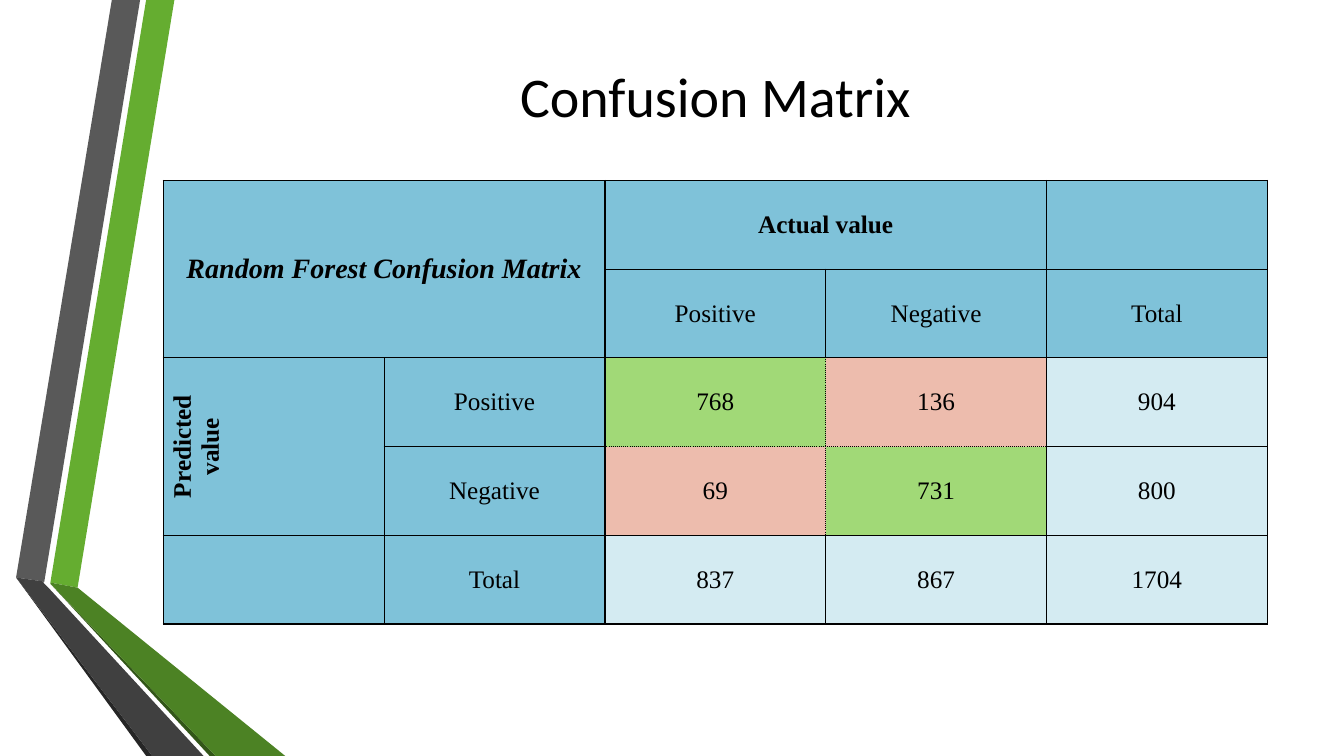
from dataclasses import dataclass

from lxml import etree
from pptx import Presentation
from pptx import util as u
from pptx.dml.color import RGBColor
from pptx.enum import text
from pptx.oxml.ns import qn

BLACK = RGBColor(0x00, 0x00, 0x00)
HEADER_BLUE = RGBColor(0x7F, 0xC2, 0xD9)
TOTAL_BLUE = RGBColor(0xD4, 0xEB, 0xF2)
CORRECT_GREEN = RGBColor(0xA1, 0xD9, 0x77)
WRONG_PINK = RGBColor(0xED, 0xBC, 0xAD)
GREEN = RGBColor(0x65, 0xAD, 0x30)
MID_GREEN = RGBColor(0x4C, 0x82, 0x24)
DARK_GREEN = RGBColor(0x32, 0x56, 0x18)
GREY = RGBColor(0x59, 0x59, 0x59)
DARK_GREY = RGBColor(0x40, 0x40, 0x40)
NEAR_BLACK = RGBColor(0x26, 0x26, 0x26)

GRID_STEP = u.Inches(0.01)
SLIDE_COLUMNS, SLIDE_ROWS = 1333, 750
TABLE_LEFT, TABLE_TOP = 162, 179
CELL_COLUMNS, CELL_ROWS = 219, 88
SIZE = 5
OUTCOMES = {(2, 2), (2, 3), (3, 2), (3, 3)}
SIDES = {"lnL": (0, -1), "lnR": (0, 1), "lnT": (-1, 0), "lnB": (1, 0)}


@dataclass(frozen=True)
class Ribbon:
    color: RGBColor
    points: tuple[tuple[int, int], ...]


@dataclass(frozen=True)
class Label:
    row: int
    column: int
    words: str
    size: int = 18
    bold: bool = False
    italic: bool = False
    row_span: int = 1
    column_span: int = 1
    vertical: bool = False


RIBBONS = (
    Ribbon(GREEN, ((50, 578), (77, 583), (173, 0), (145, 0))),
    Ribbon(GREY, ((139, 0), (111, 0), (16, 573), (44, 577))),
    Ribbon(NEAR_BLACK, ((16, 573), (145, 750), (151, 750))),
    Ribbon(DARK_GREEN, ((50, 579), (208, 750), (214, 750))),
    Ribbon(MID_GREEN, ((50, 579), (214, 750), (283, 750), (77, 583), (50, 578))),
    Ribbon(DARK_GREY, ((202, 750), (48, 583), (43, 578), (44, 577), (16, 573), (151, 750))),
)

LABELS = (
    Label(0, 0, "Random Forest Confusion Matrix", 20, True, True, 2, 2),
    Label(0, 2, "Actual value", bold=True, column_span=2),
    Label(1, 2, "Positive"),
    Label(1, 3, "Negative"),
    Label(1, 4, "Total"),
    Label(2, 0, "Predicted value", bold=True, row_span=2, vertical=True),
    Label(2, 1, "Positive"),
    Label(3, 1, "Negative"),
    Label(4, 1, "Total"),
)
COUNTS = ((768, 136, 904), (69, 731, 800), (837, 867, 1704))
COUNT_LABELS = tuple(
    Label(row, column, str(count))
    for row, counts in enumerate(COUNTS, 2)
    for column, count in enumerate(counts, 2)
)


def steps(count: int) -> u.Emu:
    return u.Emu(count * GRID_STEP)


def write(paragraph, words: str, **font_format) -> None:
    paragraph.alignment = text.PP_ALIGN.CENTER
    run = paragraph.add_run()
    run.text = words
    run.font.color.rgb = BLACK
    for name, value in font_format.items():
        setattr(run.font, name, value)


def draw_ribbon(slide, ribbon: Ribbon) -> None:
    builder = slide.shapes.build_freeform(*ribbon.points[0], scale=GRID_STEP)
    builder.add_line_segments(ribbon.points[1:], close=True)
    shape = builder.convert_to_shape()
    shape.shadow.inherit = False
    shape.fill.solid()
    shape.fill.fore_color.rgb = ribbon.color
    shape.line.fill.background()


def draw_title(slide) -> None:
    box = slide.shapes.add_textbox(
        steps(TABLE_LEFT), steps(10), steps(SIZE * CELL_COLUMNS), steps(169))
    frame = box.text_frame
    frame.word_wrap = True
    frame.vertical_anchor = text.MSO_ANCHOR.MIDDLE
    write(frame.paragraphs[0], "Confusion Matrix", name="Calibri", size=u.Pt(40))


def cell_color(row: int, column: int) -> RGBColor:
    if row < 2 or column < 2:
        return HEADER_BLUE
    if (row, column) in OUTCOMES:
        return CORRECT_GREEN if row == column else WRONG_PINK
    return TOTAL_BLUE


def draw_borders(cell, row: int, column: int) -> None:
    """Rule all four sides, dotted where two outcome cells meet."""
    properties = cell._tc.get_or_add_tcPr()
    for index, (side, (down, right)) in enumerate(SIDES.items()):
        inner = {(row, column), (row + down, column + right)} <= OUTCOMES
        line = etree.Element(qn(f"a:{side}"), w=str(u.Pt(1)))
        fill = etree.SubElement(line, qn("a:solidFill"))
        etree.SubElement(fill, qn("a:srgbClr"), val=str(BLACK))
        etree.SubElement(line, qn("a:prstDash"), val="sysDot" if inner else "solid")
        properties.insert(index, line)


def fill_label(table, label: Label) -> None:
    cell = table.cell(label.row, label.column)
    if label.row_span * label.column_span > 1:
        cell.merge(table.cell(label.row + label.row_span - 1,
                              label.column + label.column_span - 1))
    if label.vertical:
        cell._tc.get_or_add_tcPr().set("vert", "vert270")
    write(cell.text_frame.paragraphs[0], label.words, name="Times New Roman",
          size=u.Pt(label.size), bold=label.bold, italic=label.italic)


def draw_matrix(slide) -> None:
    table = slide.shapes.add_table(
        SIZE, SIZE, steps(TABLE_LEFT), steps(TABLE_TOP),
        steps(SIZE * CELL_COLUMNS), steps(SIZE * CELL_ROWS)).table
    table.first_row = table.horz_banding = False
    for row in range(SIZE):
        for column in range(SIZE):
            cell = table.cell(row, column)
            cell.vertical_anchor = text.MSO_ANCHOR.MIDDLE
            cell.fill.solid()
            cell.fill.fore_color.rgb = cell_color(row, column)
            draw_borders(cell, row, column)
    for label in LABELS + COUNT_LABELS:
        fill_label(table, label)


def main() -> None:
    presentation = Presentation()
    presentation.slide_width = steps(SLIDE_COLUMNS)
    presentation.slide_height = steps(SLIDE_ROWS)
    slide = presentation.slides.add_slide(presentation.slide_layouts[6])
    for ribbon in RIBBONS:
        draw_ribbon(slide, ribbon)
    draw_title(slide)
    draw_matrix(slide)
    presentation.save("out.pptx")


if __name__ == "__main__":
    main()
